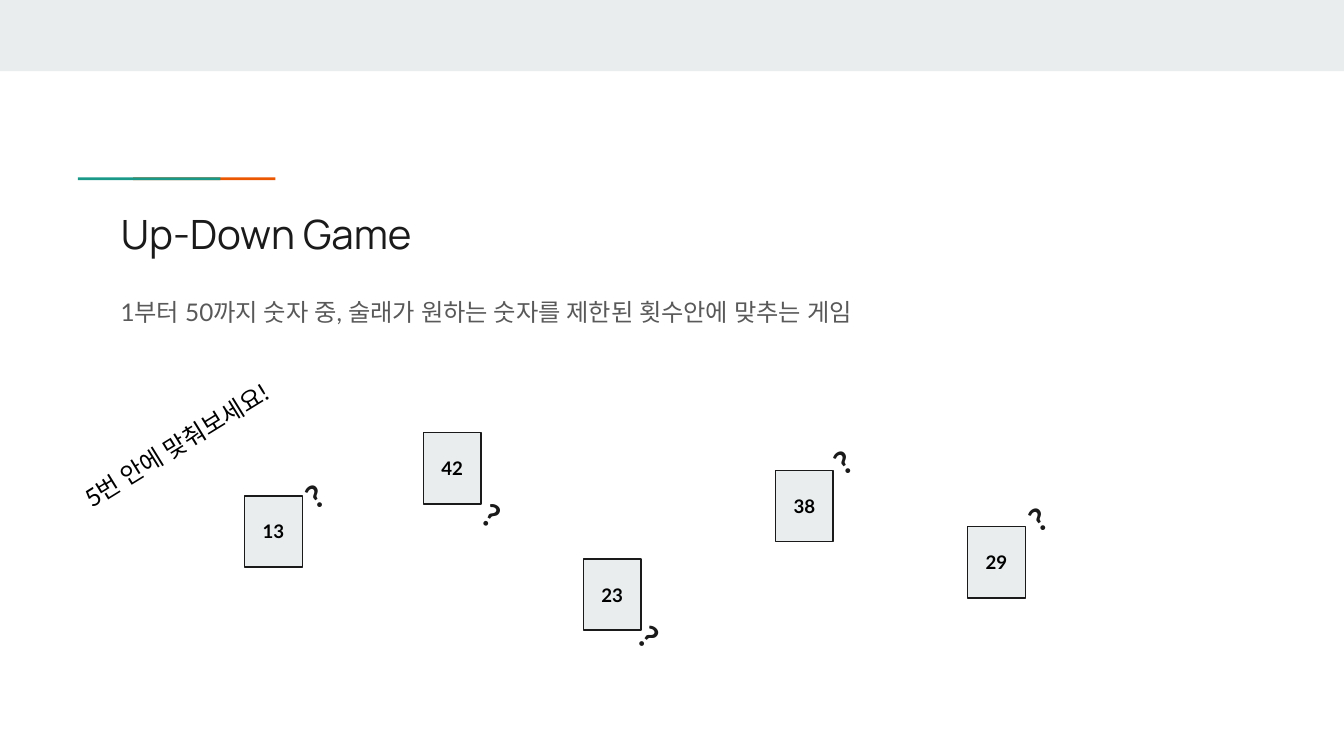
from dataclasses import dataclass

from lxml.etree import SubElement
from pptx import Presentation
from pptx.dml.color import RGBColor
from pptx.enum.shapes import MSO_SHAPE as Shape
from pptx.enum.text import MSO_ANCHOR as Anchor, MSO_AUTO_SIZE as Fit, PP_ALIGN as Align
from pptx.oxml.ns import qn
from pptx.util import Inches, Pt

INK, GREY, BLACK = "1A1A1A", "595959", "000000"
PALE, TEAL, ORANGE = "E9EDEE", "1A9988", "EB5600"
WIDE = 10
HIGH = WIDE * 9 / 16
CARD_W, CARD_H = 0.43, 0.53
MARK_W, MARK_H = 0.43, 0.27


@dataclass
class Card:
    num: str
    x: float
    y: float
    mark_x: float
    mark_y: float
    turn: float


CARDS = [
    Card("13", 1.82, 3.69, 2.12, 3.43, -33.2),
    Card("42", 3.15, 3.22, 3.55, 3.63, 28.9),
    Card("23", 4.34, 4.16, 4.73, 4.56, 39.8),
    Card("38", 5.77, 3.5, 6.05, 3.18, -33.2),
    Card("29", 7.2, 3.92, 7.5, 3.6, -33.2),
]


def color(code: str) -> RGBColor:
    return RGBColor.from_string(code)


def set_face(run, name: str) -> None:
    """Use one font for Latin, East Asian and complex scripts."""
    run.font.name = name
    props = run._r.get_or_add_rPr()
    for tag in ("a:ea", "a:cs"):
        SubElement(props, qn(tag)).set("typeface", name)


def write(shape, text: str, size: float, ink: str, font: str = "Lato",
          bold: bool = False, align=Align.LEFT, anchor=Anchor.TOP) -> None:
    frame = shape.text_frame
    frame.text = text
    frame.word_wrap = True
    frame.auto_size = Fit.NONE
    frame.vertical_anchor = anchor
    frame.margin_left = frame.margin_right = Inches(0.1)
    frame.margin_top = frame.margin_bottom = Inches(0.1)
    para = frame.paragraphs[0]
    para.alignment = align
    run = para.runs[0]
    run.font.size, run.font.bold = Pt(size), bold
    run.font.color.rgb = color(ink)
    set_face(run, font)


def add_rect(slide, x: float, y: float, w: float, h: float, fill: str):
    rect = slide.shapes.add_shape(
        Shape.RECTANGLE, Inches(x), Inches(y), Inches(w), Inches(h))
    rect.shadow.inherit = False
    rect.fill.solid()
    rect.fill.fore_color.rgb = color(fill)
    rect.line.fill.background()
    return rect


def add_text(slide, x: float, y: float, w: float, h: float, text: str,
             size: float, ink: str, bold: bool = False, turn: float = 0) -> None:
    box = slide.shapes.add_textbox(Inches(x), Inches(y), Inches(w), Inches(h))
    box.rotation = turn
    write(box, text, size, ink, bold=bold)


def add_card(slide, card: Card) -> None:
    rect = add_rect(slide, card.x, card.y, CARD_W, CARD_H, PALE)
    rect.line.color.rgb = color(INK)
    rect.line.width = Pt(0.75)
    write(rect, card.num, 10, BLACK, bold=True, align=Align.CENTER, anchor=Anchor.MIDDLE)


def main() -> None:
    deck = Presentation()
    deck.slide_width, deck.slide_height = Inches(WIDE), Inches(HIGH)
    slide = deck.slides.add_slide(deck.slide_layouts[5])

    add_rect(slide, 0, 0, WIDE, 0.53, PALE)
    add_rect(slide, 0.99, 1.32, 1.06, 0.02, ORANGE)
    add_rect(slide, 0.58, 1.32, 1.06, 0.02, TEAL)

    title = slide.shapes.title
    title.left, title.top = Inches(0.8), Inches(1.44)
    title.width, title.height = Inches(8.41), Inches(0.59)
    write(title, "Up-Down Game", 21.6, INK, font="Manrope", anchor=Anchor.MIDDLE)

    add_text(slide, 0.8, 2.11, 7.9, 0.42,
             "1부터 50까지 숫자 중, 술래가 원하는 숫자를 제한된 횟수안에 맞추는 게임", 13, GREY)
    for card in CARDS:
        add_card(slide, card)
    add_text(slide, 0.39, 3, 2.17, 0.38, "5번 안에 맞춰보세요!", 13, BLACK, turn=-31.7)
    for card in CARDS:
        add_text(slide, card.mark_x, card.mark_y, MARK_W, MARK_H, "?", 17, INK,
                 bold=True, turn=card.turn)

    deck.save("out.pptx")


if __name__ == "__main__":
    main()
